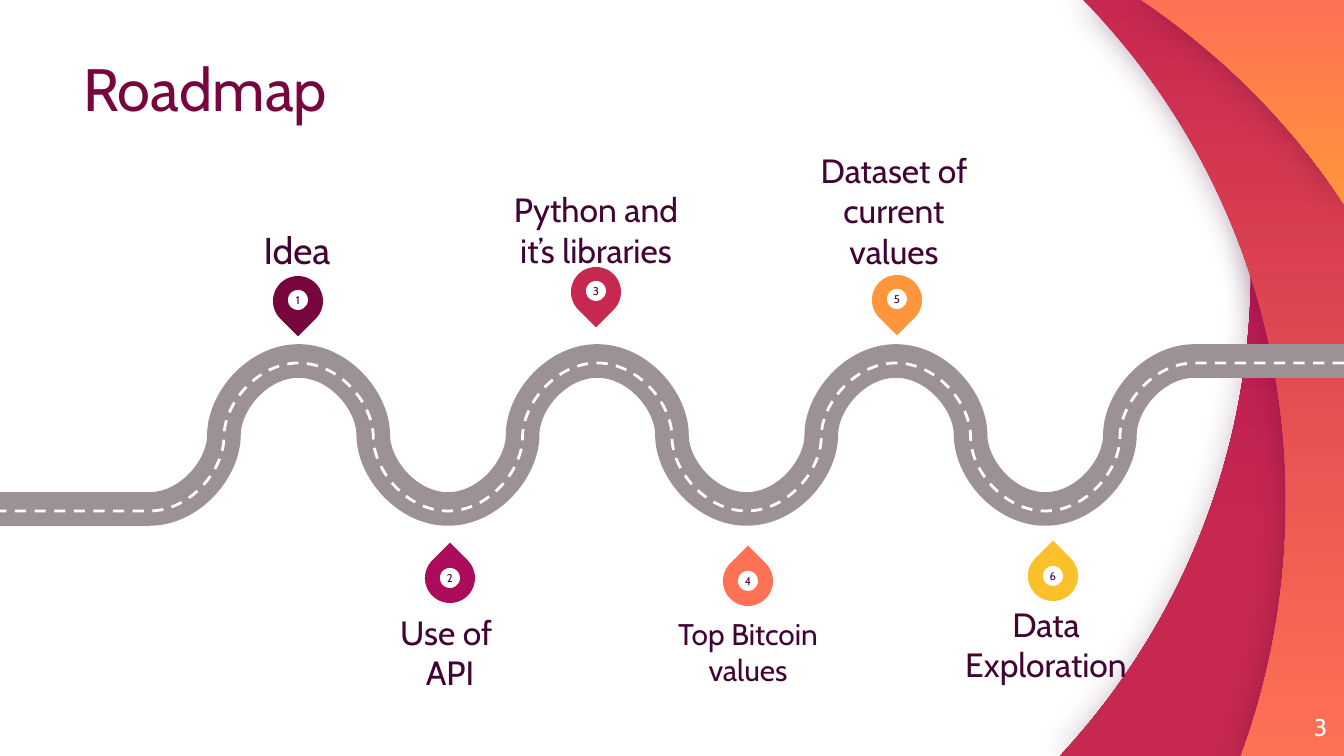
from dataclasses import dataclass
from typing import Any, NamedTuple

from lxml import etree
from pptx import Presentation
from pptx import util as u
from pptx.dml.color import RGBColor
from pptx.enum import dml, shapes, text
from pptx.oxml import ns

WIDE, HIGH = 1344, 756
SCALE = 9144000 / WIDE  # EMU per px
ROUND = 0.55  # Bezier handle of a quarter circle

Point = tuple[float, float]
Step = tuple[Point, ...]  # one point is a line, three are a curve


@dataclass(frozen=True)
class Theme:
    font: str = "Cabin"
    ink: str = "410433"
    white: str = "FFFFFF"
    plum: str = "77063F"
    berry: str = "AC0C5C"
    red: str = "C7284F"
    coral: str = "FF7154"
    orange: str = "FF963C"
    gold: str = "FAC12B"
    road: str = "9C9194"
    head: int = 32
    large: int = 20
    body: int = 18
    small: int = 16
    page: int = 13
    tiny: int = 6


T = Theme()


class Band(NamedTuple):
    start: Point
    steps: list[Step]
    stops: tuple[str, str]
    last: float
    alpha: int


class Stage(NamedTuple):
    num: int
    pin: tuple[int, int]
    color: str
    label: str
    spot: tuple[int, int]
    size: int


EDGE: list[Step] = [((WIDE, HIGH),), ((WIDE, 0),)]
BANDS = [
    Band((1199, 0), [((1234, 86), (1251, 176), (1251, 269)),
                     ((1251, 457), (1179, 628), (1060, 756)), *EDGE],
         (T.berry, T.red), 0.72, 25),
    Band((1083, 0), [((1210, 129), (1286, 306), (1286, 501)),
                     ((1286, 589), (1271, 675), (1241, 756)), *EDGE],
         (T.red, T.coral), 1, 35),
    Band((1344, 204), [((WIDE, 0),), ((1141, 0),),
                       ((1222, 54), (1292, 124), (1344, 204))],
         (T.coral, T.orange), 1, 30),
]

STAGES = [
    Stage(1, (273, 276), T.plum, "Idea", (202, 194), T.large),
    Stage(3, (571, 267), T.red, "Python and it’s libraries", (501, 192), T.body),
    Stage(5, (872, 275), T.orange, "Dataset of current values", (799, 193), T.body),
    Stage(6, (1028, 551), T.gold, "Data Exploration", (951, 604), T.body),
    Stage(4, (723, 556), T.coral, "Top Bitcoin values", (653, 616), T.small),
    Stage(2, (425, 553), T.berry, "Use of \nAPI", (355, 612), T.body),
]


def px(n: float) -> u.Emu:
    return u.Emu(round(n * SCALE))


def rgb(color: str) -> RGBColor:
    return RGBColor.from_string(color)


def put(obj: Any, **vals: Any) -> None:
    for key, val in vals.items():
        setattr(obj, key, val)


def write(shape: Any, words: str, size: int, color: str, align: Any,
          anchor: Any, **para: Any) -> None:
    frame = shape.text_frame
    frame.text = words
    put(frame, margin_left=0, margin_right=0, margin_top=0, margin_bottom=0,
        word_wrap=True, auto_size=text.MSO_AUTO_SIZE.NONE, vertical_anchor=anchor)
    for p in frame.paragraphs:
        put(p, alignment=align, **para)
        for run in p.runs:
            put(run.font, name=T.font, size=u.Pt(size), bold=False)
            run.font.color.rgb = rgb(color)


def box(host: Any, x: int, y: int, w: int, h: int) -> Any:
    return host.add_textbox(px(x), px(y), px(w), px(h))


def outline(host: Any, start: Point, steps: list[Step], close: bool) -> Any:
    pen = host.build_freeform(px(start[0]), px(start[1]))
    pen.add_line_segments([(px(x), px(y)) for step in steps for x, y in step],
                          close=close)
    shape = pen.convert_to_shape()
    shape.shadow.inherit = False
    # Join each three points into one curve
    lines = iter(shape.element.spPr.findall(".//" + ns.qn("a:lnTo")))
    for step in steps:
        parts = [next(lines) for _ in step]
        if len(parts) == 3:
            curve = etree.Element(ns.qn("a:cubicBezTo"))
            parts[0].addprevious(curve)
            for part in parts:
                curve.append(part[0])
                part.getparent().remove(part)
    return shape


def draw_band(host: Any, band: Band) -> None:
    shape = outline(host, band.start, band.steps, True)
    shape.line.fill.background()
    shape.fill.gradient()
    shape.fill.gradient_angle = 270
    for stop, color, pos in zip(shape.fill.gradient_stops, band.stops, (0, band.last)):
        stop.color.rgb = rgb(color)
        stop.position = pos
    # Soft shadow
    effects = shape.element.spPr.find(ns.qn("a:effectLst"))
    glow = etree.SubElement(effects, ns.qn("a:outerShdw"),
                            blurRad=str(u.Pt(16.9)), dist="0", dir="0",
                            algn="ctr", rotWithShape="0")
    tint = etree.SubElement(glow, ns.qn("a:srgbClr"), val=T.ink)
    etree.SubElement(tint, ns.qn("a:alpha"), val=str(band.alpha * 1000))


def route(top: float, low: float) -> list[Step]:
    pitch = WIDE / 9
    half, mid = pitch / 2, (top + low) / 2
    grip = ROUND * half
    steps: list[Step] = [((WIDE - pitch, top),)]
    for k in range(8, 1, -1):
        here, there = (low, top) if k % 2 else (top, low)
        x, end = k * pitch, (k - 1) * pitch
        m = x - half
        steps += [((x - grip, here), (m, mid + (here - mid) * (1 - ROUND)), (m, mid)),
                  ((m, mid + (there - mid) * (1 - ROUND)), (end + grip, there),
                   (end, there))]
    return steps + [((0, low),)]


def draw_road(host: Any, top: int, low: int, color: str, **line: Any) -> None:
    shape = outline(host, (WIDE, top), route(top, low), False)
    shape.fill.background()
    shape.line.color.rgb = rgb(color)
    put(shape.line, **line)


def solid(host: Any, kind: Any, x: int, y: int, size: int, color: str) -> Any:
    shape = host.add_shape(kind, px(x), px(y), px(size), px(size))
    shape.shadow.inherit = False
    shape.fill.solid()
    shape.fill.fore_color.rgb = rgb(color)
    shape.line.fill.background()
    return shape


def draw_pin(host: Any, stage: Stage) -> None:
    above = stage.num % 2 == 1
    x, y = stage.pin
    group = host.add_group_shape().shapes
    drop = solid(group, shapes.MSO_SHAPE.TEAR, x, y, 50, stage.color)
    drop.rotation = 135 if above else 315
    dot = solid(group, shapes.MSO_SHAPE.OVAL, x + 15, y + (14 if above else 15),
                20, T.white)
    write(dot, str(stage.num), T.tiny, T.ink, text.PP_ALIGN.CENTER,
          text.MSO_ANCHOR.MIDDLE)


def draw_label(host: Any, stage: Stage) -> None:
    anchor = text.MSO_ANCHOR.BOTTOM if stage.num % 2 else text.MSO_ANCHOR.TOP
    write(box(host, *stage.spot, 190, 78), stage.label, stage.size, T.ink,
          text.PP_ALIGN.CENTER, anchor)


def main() -> None:
    deck = Presentation()
    put(deck, slide_width=px(WIDE), slide_height=px(HIGH))
    slide = deck.slides.add_slide(deck.slide_layouts[5])
    host = slide.shapes

    # Side bands
    for band in BANDS:
        draw_band(host, band)

    # Title and page number
    put(host.title, left=px(83), top=px(66), width=px(1023), height=px(58))
    write(host.title, "Roadmap", T.head, T.plum, text.PP_ALIGN.LEFT,
          text.MSO_ANCHOR.BOTTOM, line_spacing=0.9)
    write(box(host, 1246, 698, 81, 58), "3", T.page, T.white,
          text.PP_ALIGN.RIGHT, text.MSO_ANCHOR.MIDDLE)

    # Road and its centre line
    draw_road(host, 361, 509, T.road, width=u.Pt(18))
    draw_road(host, 363, 511, T.white, width=u.Pt(1.5),
              dash_style=dml.MSO_LINE.DASH)

    # Pins and labels
    for draw in (draw_pin, draw_label):
        for stage in STAGES:
            draw(host, stage)

    deck.save("out.pptx")


if __name__ == "__main__":
    main()
